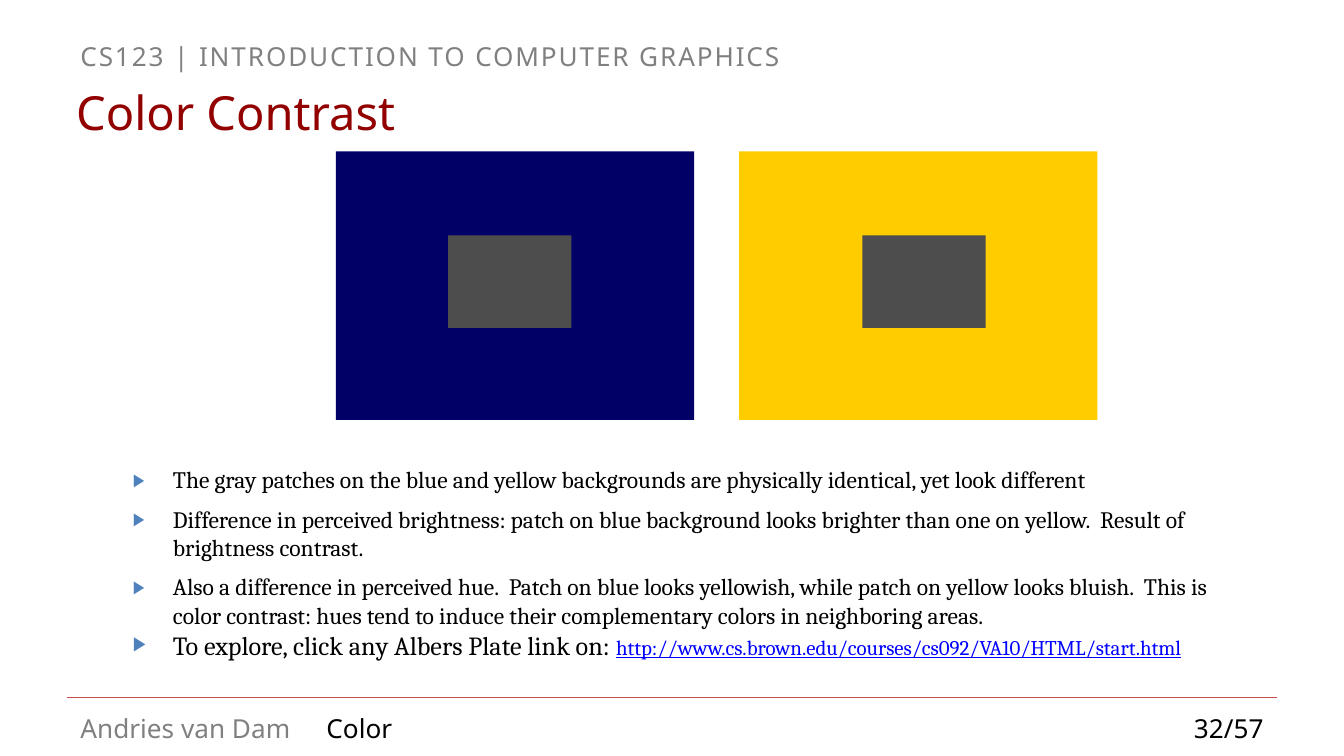
import pptx
import pptx.util
import pptx.dml.color
import pptx.enum.shapes
import pptx.enum.text
import lxml.etree

Cm, Pt = pptx.util.Cm, pptx.util.Pt
RGBColor = pptx.dml.color.RGBColor
PP_ALIGN = pptx.enum.text.PP_ALIGN
ANCHOR = pptx.enum.text.MSO_ANCHOR

GRAY = RGBColor(0x80, 0x80, 0x80)
BLACK = RGBColor(0, 0, 0)
DARK_RED = RGBColor(0x92, 0, 0)
RULE_RED = RGBColor(0xC0, 0x50, 0x4D)
LINK_BLUE = RGBColor(0, 0, 0xFF)
NAVY = RGBColor(0, 0, 0x66)
YELLOW = RGBColor(0xFF, 0xCC, 0)
PATCH_GRAY = RGBColor(0x4D, 0x4D, 0x4D)
BULLET_COLOR = "4F81BD"

LABELS = [
    ("CS123 | INTRODUCTION TO COMPUTER GRAPHICS", (1.27, 0.64, 22.86, 0.64), 14, GRAY, PP_ALIGN.LEFT, ANCHOR.TOP, 100),
    ("Color Contrast", (1.19, 1.68, 21.44, 0.86), 25.2, DARK_RED, PP_ALIGN.LEFT, ANCHOR.MIDDLE, 0),
    ("Andries van Dam", (1.27, 13.34, 4.88, 0.86), 14, GRAY, PP_ALIGN.LEFT, ANCHOR.TOP, 0),
    ("Color", (5.92, 13.34, 14.6, 0.66), 14, BLACK, PP_ALIGN.LEFT, ANCHOR.TOP, 0),
    ("32/57", (20.75, 13.34, 3.38, 0.66), 14, BLACK, PP_ALIGN.RIGHT, ANCHOR.TOP, 0),
]
FIELDS = [(6.35, NAVY, 8.47), (13.97, YELLOW, 16.3)]
BULLETS = [
    (1, [("The gray patches on the blue and yellow backgrounds are physically identical, yet look different", 12.6, BLACK, False)]),
    (1, [("Difference in perceived brightness: patch on blue background looks brighter than one on yellow.  Result of brightness contrast.", 12.6, BLACK, False)]),
    (1, [("Also a difference in perceived hue.  Patch on blue looks yellowish, while patch on yellow looks bluish.  This is color contrast: hues tend to induce their complementary colors in neighboring areas.", 12.6, BLACK, False)]),
    (0.6, [("To explore, click any Albers Plate link on: ", 14, BLACK, False),
           ("http://www.cs.brown.edu/courses/cs092/VA10/HTML/start.html", 11.2, LINK_BLUE, True)]),
]


def add_box(s, box, anchor=ANCHOR.TOP):
    tf = s.shapes.add_textbox(*map(Cm, box)).text_frame
    tf.word_wrap = True
    tf.vertical_anchor = anchor
    return tf


def add_run(p, text, font, size, color):
    r = p.add_run()
    r.text = text
    r.font.name = font
    r.font.size = Pt(size)
    r.font.color.rgb = color
    return r


def add_rect(s, box, color):
    sp = s.shapes.add_shape(pptx.enum.shapes.MSO_SHAPE.RECTANGLE, *map(Cm, box))
    sp.shadow.inherit = False
    sp.fill.solid()
    sp.fill.fore_color.rgb = color
    sp.line.fill.background()


def add_child(parent, tag, **attrs):
    ns = pptx.oxml.ns.qn("a:" + tag)
    return lxml.etree.SubElement(parent, ns, **attrs)


def set_bullet(p):
    pPr = p._p.get_or_add_pPr()
    pPr.set("marL", str(Cm(0.76)))
    pPr.set("indent", str(-Cm(0.76)))
    add_child(add_child(pPr, "buClr"), "srgbClr", val=BULLET_COLOR)
    add_child(pPr, "buSzPct", val="76000")
    add_child(pPr, "buFont", typeface="Noto Sans")
    add_child(pPr, "buChar", char="▶")


def main():
    prs = pptx.Presentation()
    prs.slide_width, prs.slide_height = Cm(25.4), Cm(14.29)
    s = prs.slides.add_slide(prs.slide_layouts[6])

    for text, box, size, color, align, anchor, spacing in LABELS:
        p = add_box(s, box, anchor).paragraphs[0]
        p.alignment = align
        r = add_run(p, text, "Noto Sans", size, color)
        if spacing:
            r.font._element.set("spc", str(spacing))

    rule = s.shapes.add_connector(pptx.enum.shapes.MSO_CONNECTOR.STRAIGHT,
                                  Cm(1.27), Cm(13.18), Cm(24.13), Cm(13.18))
    rule.line.color.rgb = RULE_RED
    rule.line.width = Pt(0.75)
    add_child(rule._element.spPr, "effectLst")

    for left, color, patch_left in FIELDS:
        add_rect(s, (left, 2.86, 6.77, 5.08), color)
        add_rect(s, (patch_left, 4.45, 2.33, 1.75), PATCH_GRAY)

    tf = add_box(s, (2.26, 8.67, 21.44, 4.1))
    for i, (line_spacing, runs) in enumerate(BULLETS):
        p = tf.add_paragraph() if i else tf.paragraphs[0]
        set_bullet(p)
        p.line_spacing = line_spacing
        p.space_before = Pt(6 if i else 0)
        for text, size, color, underline in runs:
            r = add_run(p, text, "Cambria", size, color)
            if underline:
                r.font.underline = True

    prs.save("out.pptx")


if __name__ == "__main__":
    main()
